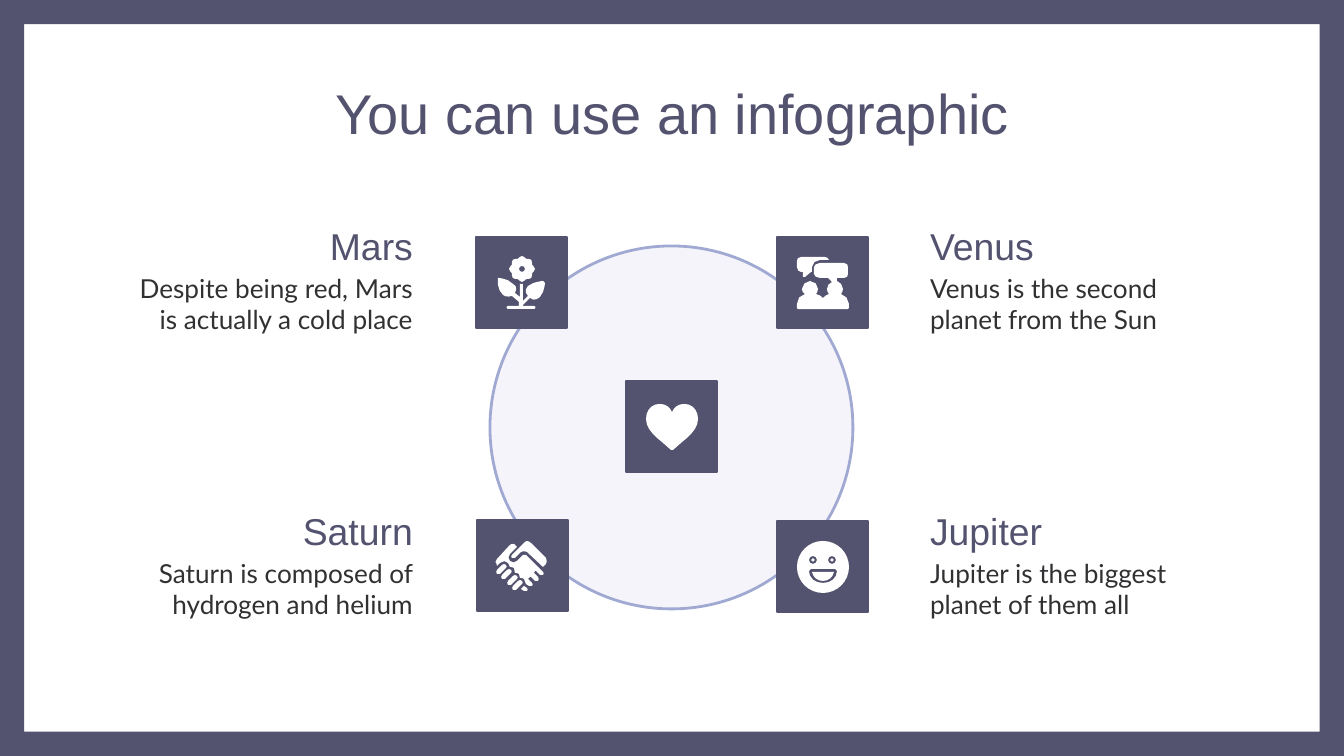
from math import cos, pi, sin

from lxml import etree
from pptx import Presentation
from pptx.dml.color import RGBColor
from pptx.enum.shapes import MSO_SHAPE
from pptx.enum.text import MSO_ANCHOR, MSO_AUTO_SIZE, PP_ALIGN
from pptx.oxml.ns import qn
from pptx.util import Pt

PX = 914400 / 134.4
WIDE, HIGH = 1344, 756
TILE = 91
INK = RGBColor(0x53, 0x52, 0x6F)
TEXT = RGBColor(0x31, 0x31, 0x33)
WHITE = RGBColor(0xFF, 0xFF, 0xFF)
LILAC = RGBColor(0xDA, 0xD6, 0xF0)
RIM = RGBColor(0xA0, 0xA9, 0xD1)
FRAME, OVAL, RECT = MSO_SHAPE.FRAME, MSO_SHAPE.OVAL, MSO_SHAPE.RECTANGLE
TOP, BOTTOM = MSO_ANCHOR.TOP, MSO_ANCHOR.BOTTOM
LEFT, MID, RIGHT = PP_ALIGN.LEFT, PP_ALIGN.CENTER, PP_ALIGN.RIGHT


def emu(px):
    return round(px * PX)


def ring(x, y, r, wave=0, lobes=8, steps=8):
    """Points of a circle, with a scalloped edge if wave is set."""
    turns = [2 * pi * i / steps for i in range(steps)]
    return [(x + (r + wave * cos(lobes * t)) * cos(t),
             y + (r + wave * cos(lobes * t)) * sin(t)) for t in turns]


def curve(data, steps=2):
    """Points of one closed outline written with M, L, C and Z."""
    pts, nums = [], []
    for word in data.split():
        if word.isalpha():
            mode, nums = word, []
            continue
        nums.append(int(word))
        if mode != "C" and len(nums) == 2:
            pts.append(tuple(nums))
            nums = []
        elif len(nums) == 6:
            a, (b, c, d) = pts[-1], zip(nums[::2], nums[1::2])
            for i in range(1, steps + 1):
                t = i / steps
                s = 1 - t
                pts.append(tuple(
                    s**3 * p + 3 * s * s * t * q + 3 * s * t * t * u + t**3 * v
                    for p, q, u, v in zip(a, b, c, d)))
            nums = []
    return pts


class Deck:
    def __init__(self):
        self.prs = Presentation()
        self.prs.slide_width, self.prs.slide_height = emu(WIDE), emu(HIGH)
        self.slide = self.prs.slides.add_slide(self.prs.slide_layouts[4])
        self.shapes = self.slide.shapes

    def paint(self, shape, fill, line=None, width=1):
        shape.shadow.inherit = False
        shape.fill.solid()
        shape.fill.fore_color.rgb = fill
        if line is None:
            shape.line.fill.background()
        else:
            shape.line.color.rgb = line
            shape.line.width = Pt(width)
        return shape

    def block(self, kind, x, y, w, h, fill, line=None, width=1):
        shape = self.shapes.add_shape(kind, emu(x), emu(y), emu(w), emu(h))
        return self.paint(shape, fill, line, width)

    def fade(self, shape, share):
        color = shape.fill._xPr.find(qn("a:solidFill"))[0]
        etree.SubElement(color, qn("a:alpha")).set("val", str(share * 1000))

    def icon(self, x, y, *lines):
        """One white shape; an outline inside another cuts a hole."""
        pen = None
        for line in lines:
            pts = [(emu(a), emu(b)) for a, b in line]
            if pen is None:
                pen = self.shapes.build_freeform(*pts[0], scale=1.0)
            else:
                pen.move_to(*pts[0])
            pen.add_line_segments(pts[1:], close=True)
        self.paint(pen.convert_to_shape(emu(x), emu(y)), WHITE)

    def text(self, box, words, place, size, font, color, align, anchor):
        box.left, box.top, box.width, box.height = map(emu, place)
        frame = box.text_frame
        frame.word_wrap = True
        frame.auto_size = MSO_AUTO_SIZE.NONE
        frame.vertical_anchor = anchor
        frame.margin_left = frame.margin_right = emu(13)
        frame.margin_top = frame.margin_bottom = emu(13)
        para = frame.paragraphs[0]
        props = para._p.get_or_add_pPr()
        props.set("marL", "0")
        props.set("indent", "0")
        etree.SubElement(props, qn("a:buNone"))
        para.alignment = align
        para.space_before = Pt(0)
        run = para.add_run()
        run.text = words
        run.font.size, run.font.name = Pt(size), font
        run.font.bold = False
        run.font.color.rgb = color

    def label(self, words, place, align):
        box = self.shapes.add_textbox(0, 0, 0, 0)
        self.text(box, words, place, 20, "Arial", INK, align, BOTTOM)

    def save(self):
        self.prs.save("out.pptx")


deck = Deck()

# Border and centre circle
border = deck.block(FRAME, 0, 0, WIDE, HIGH, INK)
border.adjustments[0] = 0.032
disc = deck.block(OVAL, 490, 246, 363, 363, LILAC, RIM, 1.5)
deck.fade(disc, 26)

# Title and the four planets
head, *bodies = deck.slide.placeholders
deck.text(head, "You can use an infographic", (106, 66, 1133, 85),
          30, "Arial", INK, MID, TOP)
planets = [
    ("Mars", "Despite being red, Mars is actually a cold place"),
    ("Venus", "Venus is the second planet from the Sun"),
    ("Saturn", "Saturn is composed of hydrogen and helium"),
    ("Jupiter", "Jupiter is the biggest planet of them all"),
]
for i, (name, fact) in enumerate(planets):
    x, align = ((105, RIGHT), (917, LEFT))[i % 2]
    y = 230 + 285 * (i // 2)
    deck.label(name, (x, y, 321, 51), align)
    deck.text(bodies[i], fact, (x, y + 29, 321, 81),
              14, "Lato", TEXT, align, TOP)

# Icon tiles
flower, chat, hands, smile, heart = tiles = [
    (476, 237), (777, 237), (477, 520), (777, 521), (626, 381)]
for x, y in tiles:
    deck.block(RECT, x, y, TILE, TILE, INK, INK, 0.75)

# Flower: bloom, then leaves and stem
leaves = curve(
    "M 22 41 C 21 49 23 54 27 58 C 29 60 33 60 36 59 L 43 65 L 43 69 L 32 69 "
    "C 30 69 30 72 32 72 L 58 72 C 60 72 60 69 58 69 L 47 69 L 47 68 L 54 61 "
    "C 57 64 61 63 64 60 C 68 56 69 47 69 46 L 67 44 C 67 44 56 45 52 49 "
    "C 49 52 49 56 52 59 L 47 64 L 47 47 L 44 47 L 44 60 L 39 56 "
    "C 41 52 41 49 37 47 C 33 42 24 41 22 41 Z", 3)
deck.icon(*flower, ring(46, 32, 12, 1, steps=32), ring(46, 32, 3), leaves)

# Chat: rear bubble, then front bubble with two people
rear = curve(
    "M 24 20 C 21 20 20 22 20 24 L 20 30 C 20 33 22 35 24 35 L 26 35 L 26 40 "
    "L 28 40 L 34 35 L 35 35 L 35 30 C 35 26 39 23 43 23 L 52 23 "
    "C 51 21 50 20 48 20 Z")
front = curve(
    "M 43 26 C 40 26 37 28 37 30 L 37 37 C 37 39 40 41 43 41 L 51 41 L 55 45 "
    "C 52 46 50 49 50 52 C 50 54 51 56 52 57 C 50 58 47 59 46 61 "
    "C 45 59 42 58 39 57 C 40 56 41 54 41 52 C 41 48 38 44 33 44 "
    "C 29 44 25 48 25 52 C 25 54 26 56 28 57 C 23 58 20 62 20 67 L 20 71 "
    "L 21 72 L 71 72 L 72 71 L 72 67 C 72 62 68 58 64 57 "
    "C 65 56 66 54 66 52 C 66 48 63 45 60 44 L 60 41 "
    "L 67 41 C 70 41 71 39 71 37 L 71 30 C 71 28 70 26 67 26 Z")
deck.icon(*chat, rear, front)

# Handshake: fingers, thumb, palm and upper hand
finger = curve(
    "M 25 45 L 20 50 C 19 51 19 53 20 54 L 23 54 L 29 48 "
    "C 30 47 30 46 29 45 L 27 44 Z")
fingers = [[(x + step, y + step) for x, y in finger]
           for step in (0, 5, 11, 16)]
thumb = curve("M 47 66 L 44 69 L 47 71 L 50 71 C 51 70 51 69 50 68 Z")
palm = curve(
    "M 36 24 C 35 24 33 24 32 26 L 20 39 C 18 41 18 43 20 45 L 20 46 L 23 43 "
    "C 26 40 29 41 31 43 L 33 47 C 34 47 36 47 37 48 L 38 53 "
    "C 40 53 41 53 42 54 L 43 58 C 45 58 46 58 47 59 L 49 64 L 52 66 "
    "L 55 66 C 56 65 56 64 55 63 L 51 59 L 53 57 L 54 57 L 58 61 L 61 61 "
    "C 62 60 62 58 61 57 L 57 53 L 58 51 L 59 51 L 63 55 L 66 55 "
    "C 67 54 67 53 66 52 L 63 49 L 49 35 L 46 35 L 40 41 "
    "C 38 43 35 43 33 41 C 31 39 31 36 33 34 L 40 27 L 39 26 "
    "C 38 24 37 24 36 24 Z")
upper = curve(
    "M 50 21 C 49 21 48 22 47 23 L 35 35 C 34 36 34 37 35 38 L 38 38 L 44 32 "
    "C 46 31 48 31 50 32 L 66 47 L 69 44 C 70 43 70 40 69 38 L 54 23 "
    "C 53 22 51 21 50 21 Z")
deck.icon(*hands, *fingers, thumb, palm, upper)

# Smile: face, eyes with pupils, lips and mouth
eyes = [ring(x, 39, r) for x in (36, 55) for r in (4, 1.6)]
lips = curve(
    "M 34 48 L 32 50 C 32 57 38 62 46 62 C 54 62 60 57 60 50 L 58 48 Z", 4)
mouth = curve("M 35 51 C 36 56 40 60 46 60 C 52 60 56 56 57 51 Z", 4)
deck.icon(*smile, ring(46, 46, 26, steps=32), *eyes, lips, mouth)

# Heart
deck.icon(*heart, curve(
    "M 33 23 C 26 23 20 29 20 38 C 20 47 27 54 37 62 L 45 69 L 47 69 L 55 62 "
    "C 65 54 72 47 72 38 C 72 29 66 23 59 23 C 53 23 49 25 46 31 "
    "C 43 25 39 23 33 23 Z", 5))

deck.save()
